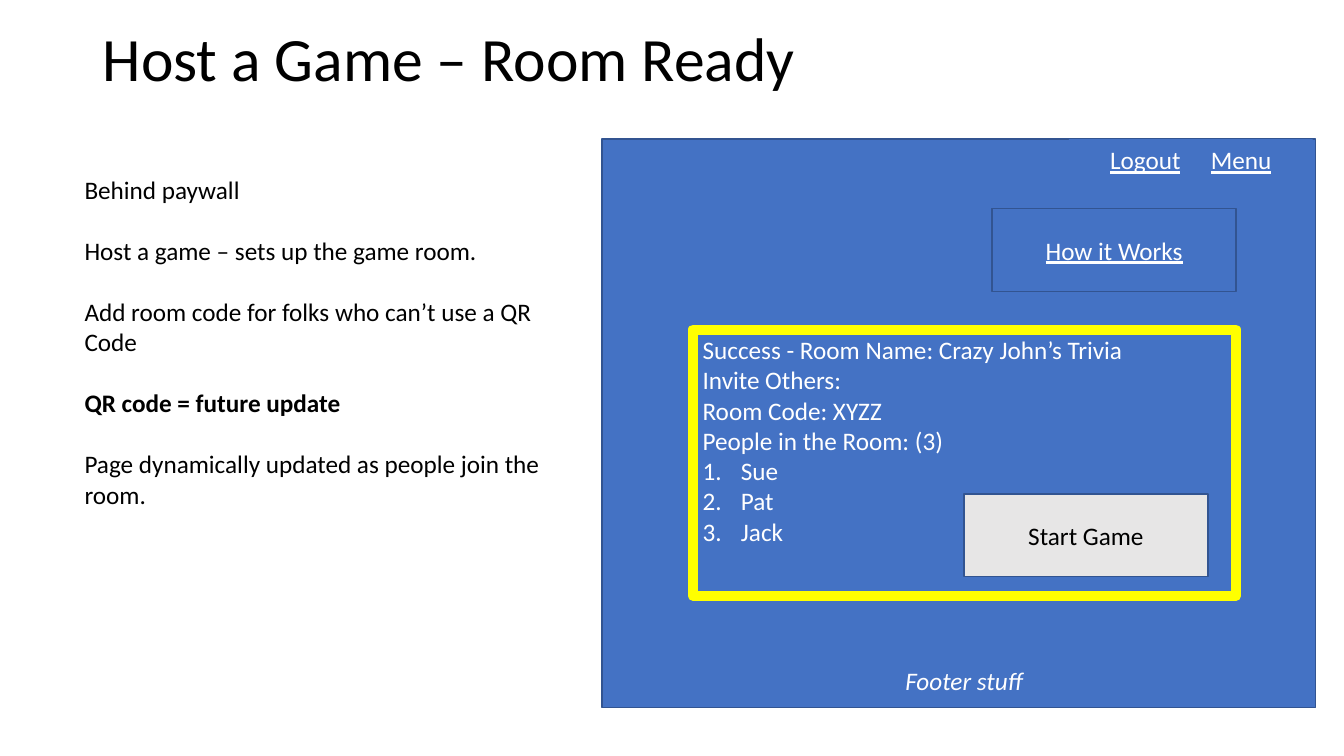
import pptx
import pptx.util
import pptx.dml.color
import pptx.enum.shapes
import pptx.enum.text
import pptx.oxml
import pptx.oxml.ns

Inches = pptx.util.Inches
Pt = pptx.util.Pt
RGBColor = pptx.dml.color.RGBColor
ALIGN = pptx.enum.text.PP_ALIGN
ANCHOR = pptx.enum.text.MSO_ANCHOR

BLUE = RGBColor(0x44, 0x72, 0xC4)
NAVY = RGBColor(0x32, 0x54, 0x91)
YELLOW = RGBColor(0xFF, 0xFF, 0x00)
GRAY = RGBColor(0xE7, 0xE6, 0xE6)
WHITE = RGBColor(0xFF, 0xFF, 0xFF)
BLACK = RGBColor(0x00, 0x00, 0x00)

NOTES = [
    "Behind paywall",
    "Host a game – sets up the game room.",
    "Add room code for folks who can’t use a QR Code",
    "QR code = future update",
    "Page dynamically updated as people join the room.",
]
ROOM_LINES = [
    "Success - Room Name: Crazy John’s Trivia",
    "Invite Others:",
    "Room Code: XYZZ",
    "People in the Room: (3)",
]
PLAYERS = ["Sue", "Pat", "Jack"]


def add_run(p, text, color, size=18, **style):
    r = p.add_run()
    r.text = text
    r.font.name = "Calibri"
    r.font.size = Pt(size)
    r.font.color.rgb = color
    for key, value in style.items():
        setattr(r.font, key, value)


def add_paragraphs(tf, texts, color):
    for i, text in enumerate(texts):
        p = tf.paragraphs[0] if i == 0 else tf.add_paragraph()
        p.alignment = ALIGN.LEFT
        add_run(p, text, color)
    return tf.paragraphs


def add_text_box(s, x, y, w, h):
    tf = s.shapes.add_textbox(Inches(x), Inches(y), Inches(w), Inches(h)).text_frame
    tf.word_wrap = True
    return tf


def add_box(s, x, y, w, h, fill=BLUE, line=NAVY, width=1):
    sp = s.shapes.add_shape(pptx.enum.shapes.MSO_SHAPE.RECTANGLE,
                            Inches(x), Inches(y), Inches(w), Inches(h))
    sp.shadow.inherit = False
    sp.fill.solid()
    sp.fill.fore_color.rgb = fill
    if line is None:
        sp.line.fill.background()
    else:
        sp.line.color.rgb = line
        sp.line.width = Pt(width)
    tf = sp.text_frame
    tf.word_wrap = True
    tf.vertical_anchor = ANCHOR.MIDDLE
    tf.paragraphs[0].alignment = ALIGN.CENTER
    return tf


def number_paragraph(p):
    pPr = p._p.get_or_add_pPr()
    pPr.set("marL", str(Inches(0.38)))
    pPr.set("indent", str(Inches(-0.38)))
    for tag, key, value in (("a:buFont", "typeface", "+mj-lt"),
                            ("a:buAutoNum", "type", "arabicPeriod")):
        bullet = pptx.oxml.parse_xml(f"<{tag} {pptx.oxml.ns.nsdecls('a')}/>")
        bullet.set(key, value)
        pPr.append(bullet)


def add_title(s, x, y, w, h):
    tf = add_text_box(s, x, y, w, h)
    tf.vertical_anchor = ANCHOR.MIDDLE
    p = tf.paragraphs[0]
    p.line_spacing = 0.9
    add_run(p, "Host a Game – Room Ready", BLACK, size=44)


def add_notes(s, x, y, w, h):
    paragraphs = add_paragraphs(add_text_box(s, x, y, w, h), NOTES, BLACK)
    for p in paragraphs[1:]:
        p.space_before = Pt(22)
    paragraphs[3].runs[0].font.bold = True


def add_room_panel(s, x, y, w, h):
    tf = add_box(s, x, y, w, h, line=YELLOW, width=7.25)
    tf.vertical_anchor = ANCHOR.TOP
    paragraphs = add_paragraphs(tf, ROOM_LINES + PLAYERS, WHITE)
    for p in paragraphs[len(ROOM_LINES):]:
        number_paragraph(p)
    start = add_box(s, x + 2.69, y + 1.63, 2.42, 0.82, fill=GRAY)
    add_run(start.paragraphs[0], "Start Game", BLACK)


def add_page_mockup(s, x, y, w, h):
    add_box(s, x, y, w, h)
    help_box = add_box(s, x + 3.87, y + 0.69, 2.42, 0.82)
    add_run(help_box.paragraphs[0], "How it Works", WHITE, underline=True)
    p = add_box(s, x + 4.63, y, 2.42, 0.41, line=None).paragraphs[0]
    add_run(p, "Logout", WHITE, underline=True)
    add_run(p, "\t", WHITE)
    add_run(p, "Menu", WHITE, underline=True)
    footer = add_box(s, x + 2.38, y + 5.17, 2.42, 0.41, line=None)
    add_run(footer.paragraphs[0], "Footer stuff", WHITE, italic=True)
    add_room_panel(s, x + 0.9, y + 1.89, 5.39, 2.64)


def main():
    prs = pptx.Presentation()
    prs.slide_width = Inches(13.33)
    prs.slide_height = Inches(7.5)
    s = prs.slides.add_slide(prs.slide_layouts[6])
    add_title(s, 0.92, 0, 11.5, 1.22)
    add_notes(s, 0.74, 1.68, 4.77, 3.43)
    add_page_mockup(s, 5.97, 1.38, 7.08, 5.64)
    prs.save("out.pptx")


if __name__ == "__main__":
    main()
